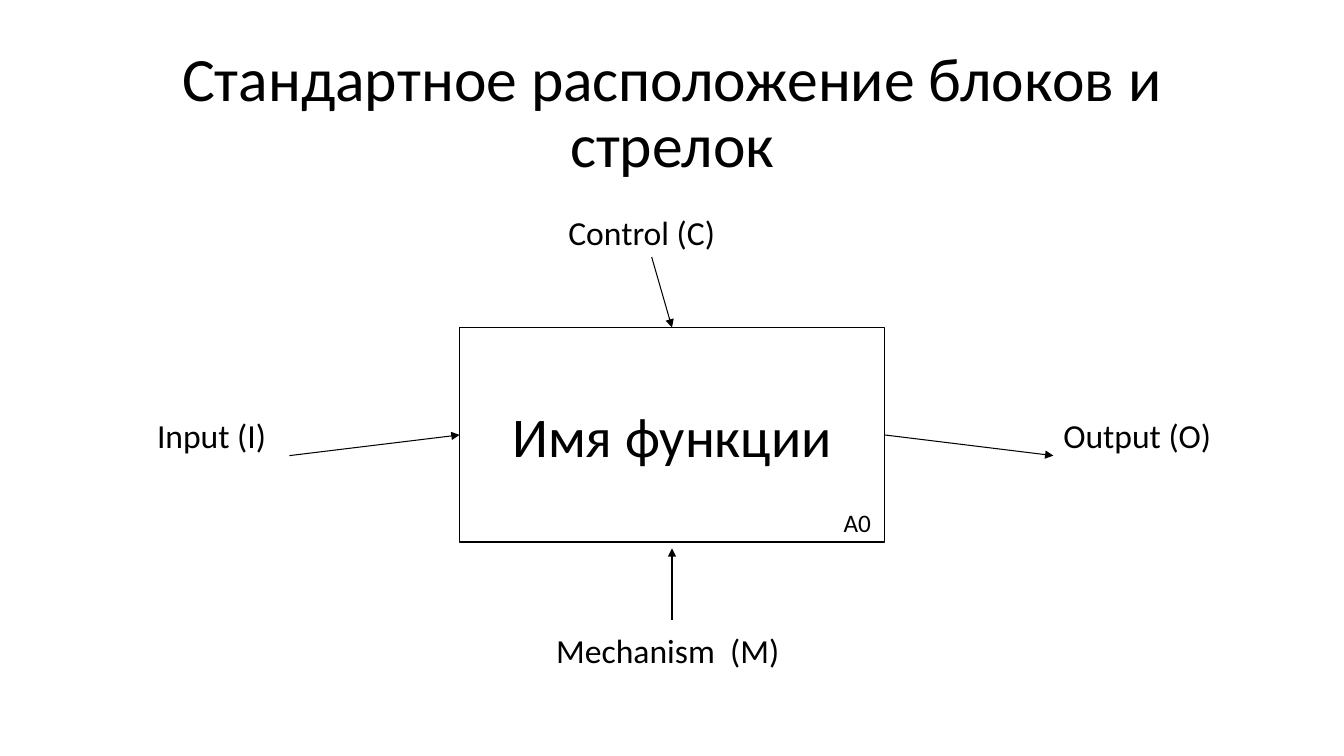
"""Build the slide on the standard placement of blocks and arrows."""
from dataclasses import dataclass
from typing import Optional

from lxml.etree import SubElement
from pptx import Presentation
from pptx.dml.color import RGBColor
from pptx.enum.shapes import MSO_CONNECTOR, MSO_SHAPE
from pptx.enum.text import MSO_ANCHOR, PP_ALIGN
from pptx.oxml.ns import qn
from pptx.util import Inches, Pt

SLIDE_WIDTH, SLIDE_HEIGHT = Inches(13.33), Inches(7.5)
BLACK, WHITE = "000000", "FFFFFF"
TOP, LEFT, BOTTOM, RIGHT = range(4)


@dataclass
class Label:
    text: str
    left: float
    top: float
    width: float
    height: float
    size: int = 24
    centred: bool = False
    framed: bool = False
    wrap: bool = True
    line_spacing: float = 1.0


@dataclass
class Arrow:
    start: tuple[float, float]
    end: tuple[float, float]
    source: Optional[tuple[str, int]] = None
    target: Optional[tuple[str, int]] = None


LABELS = {
    "title": Label("Стандартное расположение блоков и стрелок", 6.9, 5.47, 86.25, 19.33,
                   size=44, centred=True, line_spacing=0.9),
    "function": Label("Имя функции", 34.2, 43.33, 31.6, 28.4,
                      size=40, centred=True, framed=True),
    "node": Label("А0", 62.03, 66.4, 3.75, 5.33, size=18, wrap=False),
    "control": Label("Control (C)", 41.55, 27.33, 13.88, 6.67),
    "input": Label("Input (I)", 10.95, 54.27, 10.58, 12),
    "output": Label("Output (O)", 78.38, 54.27, 13.58, 12),
    "mechanism": Label("Mechanism  (M)", 40.65, 82.67, 18.68, 12),
}

ARROWS = [
    Arrow((48.45, 34), (50, 43.33), ("control", BOTTOM), ("function", TOP)),
    Arrow((21.53, 60.27), (34.2, 57.53), ("input", RIGHT), ("function", LEFT)),
    Arrow((65.8, 57.53), (78.38, 60.27), ("function", RIGHT), ("output", LEFT)),
    Arrow((50, 82), (50, 72.53)),
]


def colour(value: str) -> RGBColor:
    return RGBColor.from_string(value)


def across(percent: float) -> int:
    return round(SLIDE_WIDTH * percent / 100)


def down(percent: float) -> int:
    return round(SLIDE_HEIGHT * percent / 100)


def draw_label(slide, label: Label):
    area = (across(label.left), down(label.top), across(label.width), down(label.height))
    if label.framed:
        box = slide.shapes.add_shape(MSO_SHAPE.RECTANGLE, *area)
        box.shadow.inherit = False
        box.fill.solid()
        box.fill.fore_color.rgb = colour(WHITE)
        box.line.color.rgb = colour(BLACK)
        box.line.width = Pt(1)
    else:
        box = slide.shapes.add_textbox(*area)
    frame = box.text_frame
    frame.word_wrap = label.wrap
    frame.vertical_anchor = MSO_ANCHOR.MIDDLE if label.centred else MSO_ANCHOR.TOP
    frame.text = label.text
    wording = frame.paragraphs[0]
    wording.alignment = PP_ALIGN.CENTER if label.centred else PP_ALIGN.LEFT
    wording.line_spacing = label.line_spacing
    wording.font.name = "Calibri"
    wording.font.size = Pt(label.size)
    wording.font.color.rgb = colour(BLACK)
    return box


def draw_arrow(slide, arrow: Arrow, boxes: dict) -> None:
    (x1, y1), (x2, y2) = arrow.start, arrow.end
    link = slide.shapes.add_connector(
        MSO_CONNECTOR.STRAIGHT, across(x1), down(y1), across(x2), down(y2))
    if arrow.source:
        name, side = arrow.source
        link.begin_connect(boxes[name], side)
    if arrow.target:
        name, side = arrow.target
        link.end_connect(boxes[name], side)
    link.line.color.rgb = colour(BLACK)
    link.line.width = Pt(0.75)
    SubElement(link.line._get_or_add_ln(), qn("a:tailEnd"), type="triangle")
    SubElement(link._element.spPr, qn("a:effectLst"))


def main() -> None:
    deck = Presentation()
    deck.slide_width, deck.slide_height = SLIDE_WIDTH, SLIDE_HEIGHT
    slide = deck.slides.add_slide(deck.slide_layouts[6])
    boxes = {name: draw_label(slide, label) for name, label in LABELS.items()}
    for arrow in ARROWS:
        draw_arrow(slide, arrow, boxes)
    deck.save("out.pptx")


if __name__ == "__main__":
    main()
